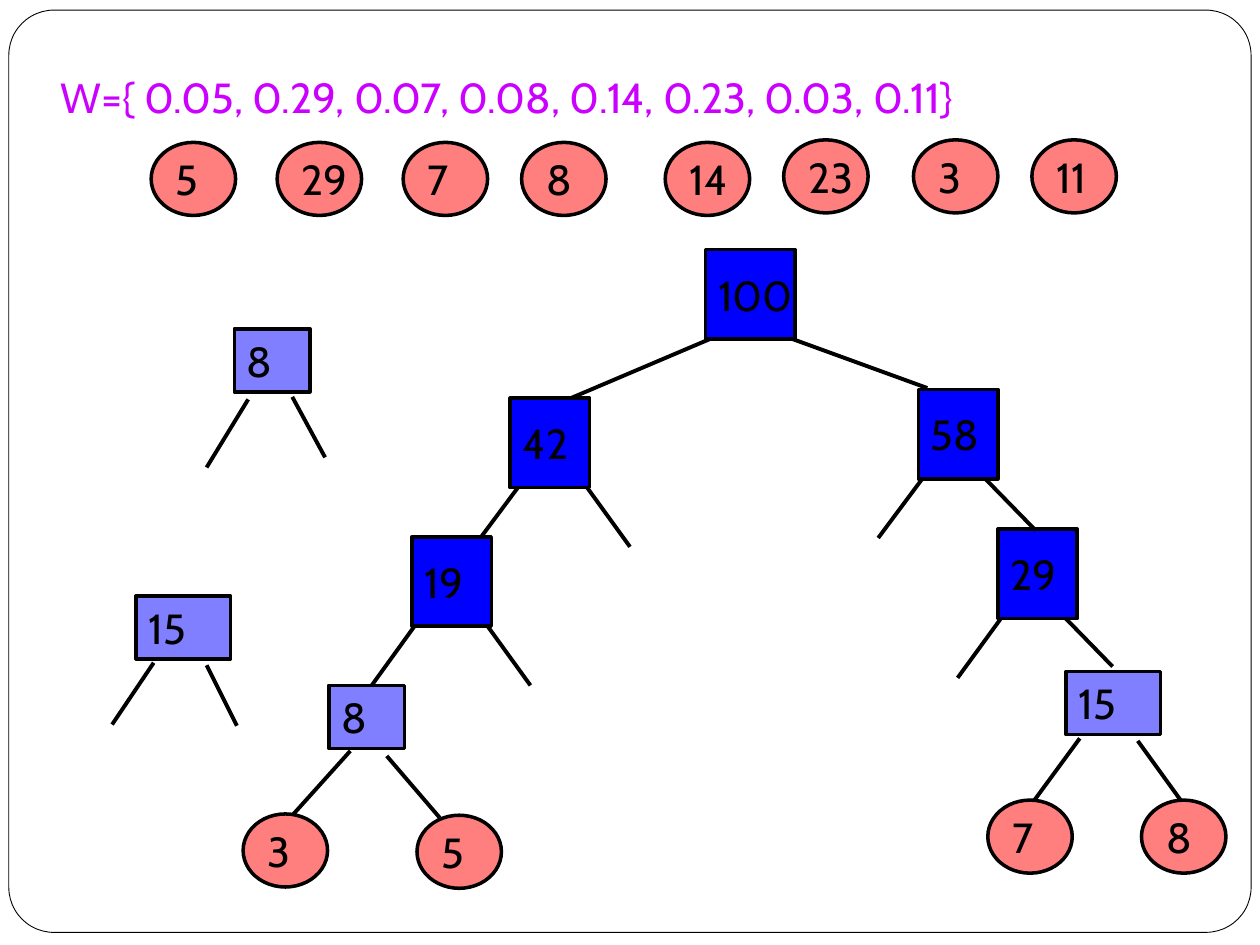
from pptx import Presentation
from pptx.dml.color import RGBColor
from pptx.enum.shapes import MSO_CONNECTOR, MSO_SHAPE
from pptx.enum.text import MSO_ANCHOR, MSO_AUTO_SIZE, PP_ALIGN
from pptx.oxml import parse_xml
from pptx.oxml.ns import nsdecls, qn
from pptx.util import Inches, Pt

WIDE, HIGH = Inches(10), Inches(7.5)
COL, ROW = WIDE / 100, HIGH / 75
BLACK, WHITE, RED, BLUE, PINK = "000000", "FFFFFF", "FF0000", "0000FF", "CC00FF"

KINDS = {
    "leaf": (MSO_SHAPE.OVAL, 6.7, 5.8, RED, 50),
    "pair": (MSO_SHAPE.RECTANGLE, 6, 5, BLUE, 50),
    "wide": (MSO_SHAPE.RECTANGLE, 7.5, 5, BLUE, 50),
    "sum": (MSO_SHAPE.RECTANGLE, 6.3, 7.1, BLUE, 100),
    "root": (MSO_SHAPE.RECTANGLE, 7.1, 7.1, BLUE, 100),
}

WEIGHTS = [
    ("5", 12, 11.3), ("29", 22, 11.3), ("7", 32, 11.3), ("8", 41.4, 11.3),
    ("14", 52.8, 11.3), ("23", 62.2, 11.1), ("3", 72.5, 11.1), ("11", 81.9, 11.1),
]

LEAVES = [("3", 19.3, 64.6), ("5", 33.1, 64.7), ("7", 78.4, 63.5), ("8", 90.6, 63.5)]

# Each arm: start from the lower left corner, then run and drop.
TREE = [
    ("8", "pair", 18.6, 26.1, [(1.1, 0.6, -3.3, 5.4), (4.6, 0.4, 2.6, 4.8)]),
    ("15", "wide", 10.8, 47.3, [(1.4, 0.3, -3.3, 4.9), (5.6, 0.5, 2.4, 4.8)]),
    ("8", "pair", 26.1, 54.4, [(1.7, 0.2, -4.5, 5), (4.6, 0.6, 4.2, 4.9)]),
    ("19", "sum", 32.7, 42.6, [(0.2, 0, -3.4, 4.7), (6, 0, 3.4, 4.7)]),
    ("15", "wide", 84.6, 53.3, [(1.1, 0.3, -3.6, 4.9), (5.7, 0.5, 3.4, 4.7)]),
    ("29", "sum", 79.2, 42, [(0.3, -0.1, -3.5, 4.8), (5.3, -0.1, 3.8, 3.9)]),
    ("42", "sum", 40.5, 31.6, [(1.2, -0.8, -3.5, 4.7), (6.1, 0, 3.4, 4.7)]),
    ("58", "sum", 72.9, 30.9, [(0.3, 0, -3.5, 4.7), (5.3, 0, 4, 4.1)]),
    ("100", "root", 56, 19.8, [(0.6, -0.1, -11.3, 4.8), (6.6, -0.1, 11, 4)]),
]


def tint(hue):
    """Turn a hex string into a colour."""
    return RGBColor.from_string(hue)


def place(left, top, wide, high):
    """Turn columns and rows into slide lengths."""
    return [round(n) for n in (left * COL, top * ROW, wide * COL, high * ROW)]


def write(shape, text, hue, anchor, wrap=False):
    """Write one left-aligned run in a shape."""
    frame = shape.text_frame
    frame.auto_size = MSO_AUTO_SIZE.NONE
    frame.word_wrap = wrap
    frame.vertical_anchor = anchor
    line = frame.paragraphs[0]
    line.alignment = PP_ALIGN.LEFT
    run = line.add_run()
    run.text = text
    run.font.name, run.font.size = "Cabin", Pt(24)
    run.font.color.rgb = tint(hue)


def draw(slide, form, box, fill, weight, alpha=100):
    """Draw a filled shape with a black outline."""
    shape = slide.shapes.add_shape(form, *place(*box))
    shape.shadow.inherit = False
    shape.fill.solid()
    shape.fill.fore_color.rgb = tint(fill)
    if alpha < 100:
        mark = shape.element.spPr.find(qn("a:solidFill")).find(qn("a:srgbClr"))
        mark.append(parse_xml(f'<a:alpha {nsdecls("a")} val="{alpha * 1000}"/>'))
    shape.line.color.rgb = tint(BLACK)
    shape.line.width = Pt(weight)
    return shape


def head(slide, box):
    """Put the rounded frame behind the title and set the title."""
    frame = draw(slide, MSO_SHAPE.ROUNDED_RECTANGLE, (0.7, 0.8, 98.6, 73.2), WHITE, 0.5)
    frame.adjustments[0] = 0.049
    title = slide.shapes.title
    title.element.addprevious(frame.element)
    title.left, title.top, title.width, title.height = place(*box)
    write(title, "W={ 0.05, 0.29, 0.07, 0.08, 0.14, 0.23, 0.03, 0.11}", PINK, MSO_ANCHOR.TOP)


def node(slide, text, kind, left, top):
    """Draw one labelled node of the given kind."""
    form, wide, high, fill, alpha = KINDS[kind]
    shape = draw(slide, form, (left, top, wide, high), fill, 2, alpha)
    small = kind in ("pair", "wide")
    write(shape, text, BLACK, MSO_ANCHOR.TOP if small else MSO_ANCHOR.MIDDLE, small)


def edge(slide, left, top, run, drop):
    """Draw a branch from a point by a run and a drop."""
    ends = place(left, top, left + run, top + drop)
    line = slide.shapes.add_connector(MSO_CONNECTOR.STRAIGHT, *ends)
    line.line.color.rgb = tint(BLACK)
    line.line.width = Pt(2.25)
    line.element.spPr.append(parse_xml(f'<a:effectLst {nsdecls("a")}/>'))


def leaves(slide, items):
    """Draw a set of leaf nodes."""
    for text, left, top in items:
        node(slide, text, "leaf", left, top)


def branch(slide, text, kind, left, top, arms):
    """Draw a node on top of its two branches."""
    base = top + KINDS[kind][2]
    for shift, gap, run, drop in arms:
        edge(slide, left + shift, base + gap, run, drop)
    node(slide, text, kind, left, top)


def main():
    """Build and save the slide."""
    deck = Presentation()
    deck.slide_width, deck.slide_height = WIDE, HIGH
    slide = deck.slides.add_slide(deck.slide_layouts[5])
    head(slide, (3.8, 5.2, 75.6, 5))
    leaves(slide, WEIGHTS)
    for item in TREE:
        branch(slide, *item)
    leaves(slide, LEAVES)
    deck.save("out.pptx")


if __name__ == "__main__":
    main()
